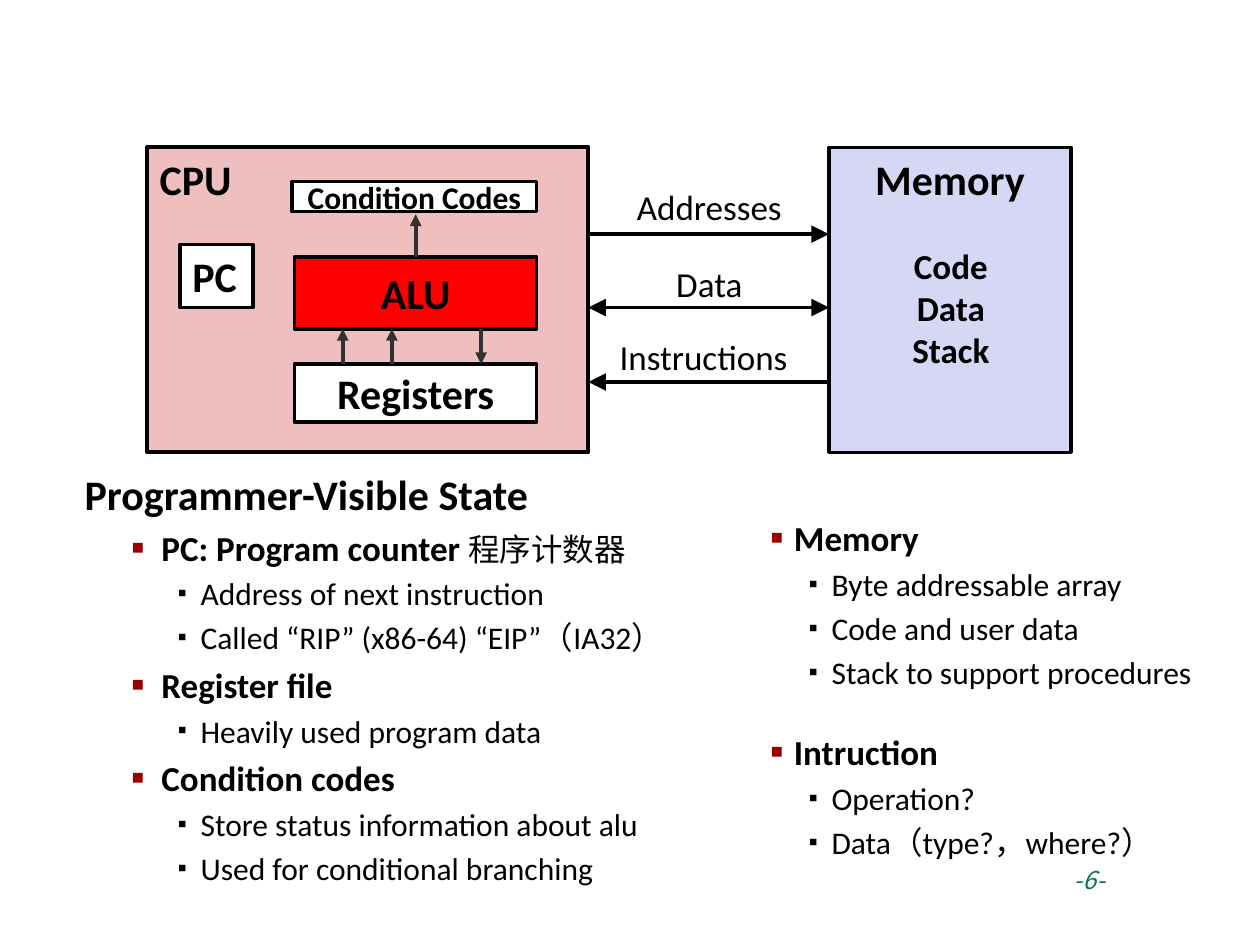
from lxml.etree import SubElement
from pptx import Presentation
from pptx.dml.color import RGBColor
from pptx.enum.shapes import MSO_CONNECTOR, MSO_SHAPE
from pptx.enum.text import MSO_ANCHOR, MSO_AUTO_SIZE, PP_ALIGN
from pptx.oxml.ns import qn
from pptx.util import Cm, Pt

color = RGBColor.from_string
CJK_FONT = "Noto Sans CJK SC"


def apply(target, values):
    for name, value in values.items():
        setattr(target, name, value)


def write(para, text, size, bold=False, name="Calibri", ink="000000", italic=False):
    span = para.add_run()
    span.text = text
    apply(span.font, {"size": Pt(size), "bold": bold, "name": name, "italic": italic})
    span.font.color.rgb = color(ink)
    if name == CJK_FONT:
        SubElement(span.font._element, qn("a:ea"), typeface=name)


deck = Presentation()
apply(deck, {"slide_width": Cm(25.4), "slide_height": Cm(19.05)})
page = deck.slides.add_slide(deck.slide_layouts.get_by_name("Comparison"))
shapes = page.shapes

state_list = [
    (0, "Programmer-Visible State"),
    (1, "PC: Program counter "),
    (2, "Address of next instruction"),
    (2, "Called “RIP” (x86-64) “EIP”（IA32）"),
    (1, "Register file"),
    (2, "Heavily used program data"),
    (1, "Condition codes"),
    (2, "Store status information about alu"),
    (2, "Used for conditional branching"),
]
memory_list = [
    (1, "Memory"),
    (2, "Byte addressable array"),
    (2, "Code and user data"),
    (2, "Stack to support procedures"),
]
instruction_list = [
    (1, "Intruction"),
    (2, "Operation?"),
    (2, "Data（type?，where?）"),
]
left_indents = [(0.64, -0.64), (1.55, -0.61), (2.34, -0.46)]
right_indents = [(0, 0), (0.81, -0.48), (1.57, -0.46)]
sizes = [24, 20, 18]
bullets = {1: ("990000", "110000"), 2: ("000000", "80000")}

title, state, memory, instruction, spare = page.placeholders
for unused in (title, spare):
    unused.element.getparent().remove(unused.element)

for body, place, indents, items in [
    (state, (1.45, 9.32, 13.49, 8.59), left_indents, state_list),
    (memory, (14.94, 10.29, 10.06, 4.37), right_indents, memory_list),
    (instruction, (14.94, 14.6, 10.06, 4.37), right_indents, instruction_list),
]:
    apply(body, dict(zip(("left", "top", "width", "height"), map(Cm, place))))
    frame = body.text_frame
    apply(frame, {"word_wrap": True, "auto_size": MSO_AUTO_SIZE.NONE,
                  "vertical_anchor": MSO_ANCHOR.TOP})
    for index, (level, text) in enumerate(items):
        para = frame.add_paragraph() if index else frame.paragraphs[0]
        para.level = level
        props = para._p.get_or_add_pPr()
        margin, indent = indents[level]
        props.set("marL", str(Cm(margin)))
        props.set("indent", str(Cm(indent)))
        if level in bullets:
            ink, percent = bullets[level]
            SubElement(SubElement(props, qn("a:buClr")), qn("a:srgbClr"), val=ink)
            SubElement(props, qn("a:buSzPct"), val=percent)
            SubElement(props, qn("a:buFont"), typeface="Calibri")
            SubElement(props, qn("a:buChar"), char="▪")
        else:
            SubElement(props, qn("a:buNone"))
        if index == 0:
            para.space_before = Pt(0)
        write(para, text, sizes[level], bold=level < 2)
write(state.text_frame.paragraphs[1], "程序计数器", 18, name=CJK_FONT)

for text, place, fill, weight, size, align, anchor in [
    ("CPU", (2.97, 2.97, 8.89, 6.15), "EFBFBF", 2.25, 24, PP_ALIGN.LEFT, MSO_ANCHOR.TOP),
    ("Memory", (16.71, 2.97, 4.88, 6.15), "D6D6F5", 2, 24, PP_ALIGN.CENTER, MSO_ANCHOR.TOP),
    ("PC", (3.63, 4.93, 1.47, 1.27), "FFFFFF", 2, 24, PP_ALIGN.LEFT, MSO_ANCHOR.MIDDLE),
    ("Condition Codes", (5.89, 3.66, 4.93, 0.61), "FFFFFF", 2, 18, PP_ALIGN.CENTER, MSO_ANCHOR.MIDDLE),
    ("ALU", (5.94, 5.18, 4.88, 1.45), "FF0000", 2, 24, PP_ALIGN.CENTER, MSO_ANCHOR.MIDDLE),
    ("Registers", (5.94, 7.34, 4.88, 1.17), "FFFFFF", 2, 24, PP_ALIGN.CENTER, MSO_ANCHOR.MIDDLE),
]:
    box = shapes.add_shape(MSO_SHAPE.RECTANGLE, *map(Cm, place))
    box.shadow.inherit = False
    box.fill.solid()
    box.fill.fore_color.rgb = color(fill)
    box.line.color.rgb = color("000000")
    box.line.width = Pt(weight)
    apply(box.text_frame, {"word_wrap": text == "CPU", "vertical_anchor": anchor})
    para = box.text_frame.paragraphs[0]
    para.alignment = align
    write(para, text, size, bold=True)

for lines, place, bold in [
    (["Code", "Data", "Stack"], (17.58, 4.8, 3.18, 2.82), True),
    (["Addresses"], (11.86, 3.61, 4.88, 1.09), False),
    (["Data"], (11.86, 5.16, 4.88, 1.09), False),
    (["Instructions"], (11.86, 6.63, 4.65, 1.09), False),
]:
    frame = shapes.add_textbox(*map(Cm, place)).text_frame
    frame.word_wrap = True
    for index, text in enumerate(lines):
        para = frame.add_paragraph() if index else frame.paragraphs[0]
        para.alignment = PP_ALIGN.CENTER
        write(para, text, 20, bold)

bus = ("000000", 2, "lg")
inner = ("323232", 2.25, "med")
for ends, (ink, weight, head_size), heads in [
    ((11.86, 4.72, 16.71, 4.72), bus, ["tailEnd"]),
    ((11.86, 6.2, 16.71, 6.2), bus, ["headEnd", "tailEnd"]),
    ((11.86, 7.7, 16.71, 7.7), bus, ["headEnd"]),
    ((6.91, 7.34, 6.91, 6.63), inner, ["tailEnd"]),
    ((7.9, 7.34, 7.9, 6.63), inner, ["tailEnd"]),
    ((9.7, 6.63, 9.7, 7.34), inner, ["tailEnd"]),
    ((8.38, 5.18, 8.38, 4.32), inner, ["tailEnd"]),
]:
    arrow = shapes.add_connector(MSO_CONNECTOR.STRAIGHT, *map(Cm, ends))
    arrow.line.color.rgb = color(ink)
    arrow.line.width = Pt(weight)
    outline = arrow.line._get_or_add_ln()
    for head in heads:
        SubElement(outline, qn(f"a:{head}"), type="triangle", w=head_size, len=head_size)
    SubElement(arrow._element.spPr, qn("a:effectLst"))

number = shapes.add_textbox(Cm(21.4), Cm(17.32), Cm(2.73), Cm(1.32))
number.text_frame.word_wrap = True
write(number.text_frame.paragraphs[0], "-6-", 14, name=CJK_FONT, ink="0D7157", italic=True)

deck.save("out.pptx")
